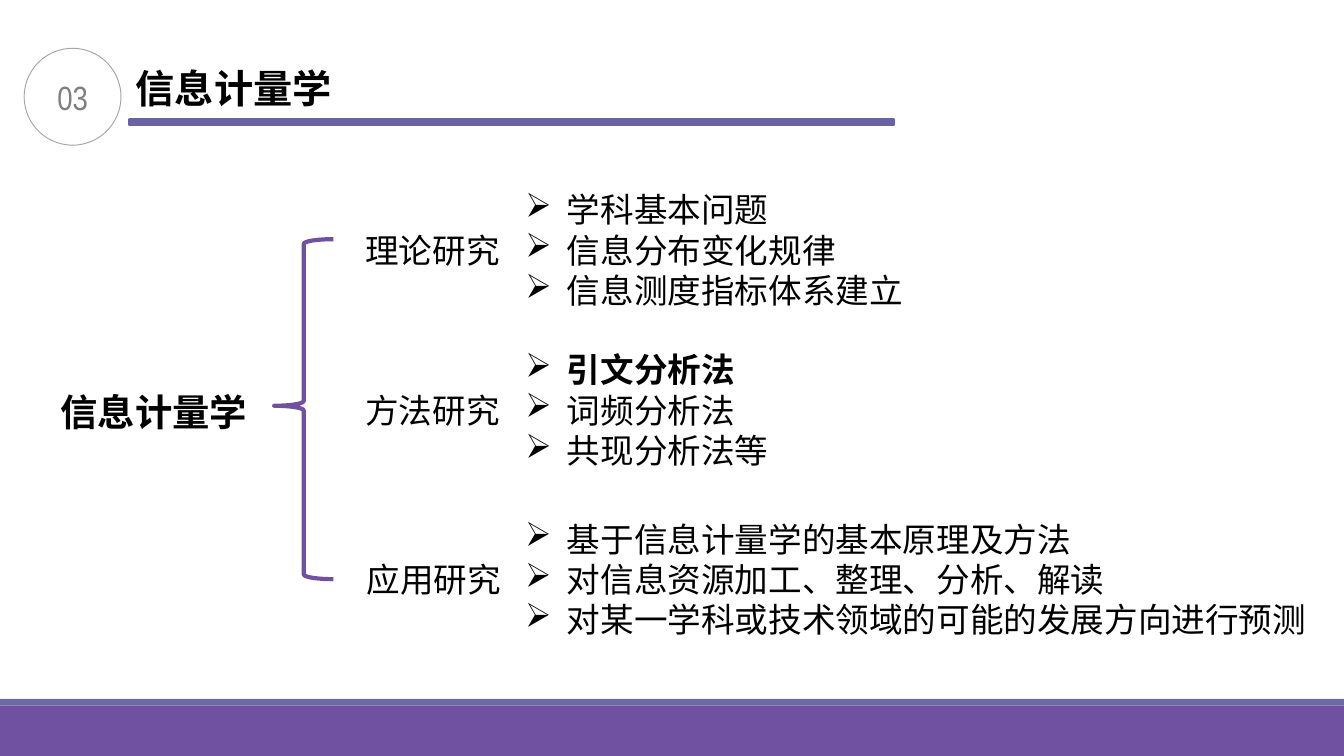
from lxml.etree import SubElement
from pptx import Presentation
from pptx.dml.color import RGBColor
from pptx.enum.shapes import MSO_SHAPE
from pptx.enum.text import MSO_ANCHOR, PP_ALIGN
from pptx.oxml.ns import qn
from pptx.util import Pt

PX = 9144  # 100 px to the inch
WIDE = 1000
PURPLE = RGBColor(0x70, 0x50, 0xA0)
STRIPE = RGBColor(0x6D, 0x69, 0xA3)
RULE = RGBColor(0x69, 0x64, 0xA0)
SILVER = RGBColor(0xA6, 0xA6, 0xA6)
GRAY = RGBColor(0x80, 0x80, 0x80)
BLACK = RGBColor(0, 0, 0)
SANS = "Noto Sans CJK SC"
NARROW = "Arial Narrow"
INDENT = 31
TIGHT = (7, 4, 7, 4)
LOOSE = (10, 5, 10, 5)

# Branch name, its left and top, width of its list, items, number of bold items
BRANCHES = [
    ("理论研究", 262, 166, 312,
     ["学科基本问题", "信息分布变化规律", "信息测度指标体系建立"], 0),
    ("方法研究", 262, 285, 312,
     ["引文分析法", "词频分析法", "共现分析法等"], 1),
    ("应用研究", 263, 411, 606,
     ["基于信息计量学的基本原理及方法", "对信息资源加工、整理、分析、解读",
      "对某一学科或技术领域的可能的发展方向进行预测"], 0),
]


class Deck:
    """Holds the style and the current slide."""

    def __init__(self):
        self.prs = Presentation()
        self.prs.slide_width = WIDE * PX
        self.prs.slide_height = WIDE * PX * 9 // 16
        self.slide = self.prs.slides.add_slide(self.prs.slide_layouts[6])

    def shape(self, kind, box, fill=None, line=None, weight=1):
        item = self.slide.shapes.add_shape(kind, *[n * PX for n in box])
        item.shadow.inherit = False
        if fill is None:
            item.fill.background()
        else:
            item.fill.solid()
            item.fill.fore_color.rgb = fill
        if line is None:
            item.line.fill.background()
        else:
            item.line.color.rgb = line
            item.line.width = Pt(weight)
        return item

    def inset(self, frame, pads, **style):
        sides = ("left", "top", "right", "bottom")
        style |= {f"margin_{side}": pad * PX for side, pad in zip(sides, pads)}
        for name, value in style.items():
            setattr(frame, name, value)

    def label(self, para, words, size=18, color=BLACK, face=SANS, bold=False):
        run = para.add_run()
        run.text = words
        style = {"size": Pt(size), "name": face, "bold": bold}
        for name, value in style.items():
            setattr(run.font, name, value)
        run.font.color.rgb = color
        SubElement(run.font._element, qn("a:ea"), typeface=face)

    def bullet(self, para):
        props = para._p.get_or_add_pPr()
        props.set("marL", str(INDENT * PX))
        props.set("indent", str(-INDENT * PX))
        SubElement(props, qn("a:buChar"), char="➢")

    def text(self, box, lines, pads=LOOSE, wrap=True, marks=False, strong=0, size=18):
        """Add one paragraph a line; the first `strong` lines are bold."""
        frame = self.slide.shapes.add_textbox(*[n * PX for n in box]).text_frame
        self.inset(frame, pads, word_wrap=wrap)
        for i, words in enumerate(lines):
            para = frame.add_paragraph() if i else frame.paragraphs[0]
            if marks:
                self.bullet(para)
            self.label(para, words, size, bold=i < strong)

    def badge(self, box, words):
        ring = self.shape(MSO_SHAPE.OVAL, box, line=SILVER, weight=0.5)
        frame = ring.text_frame
        self.inset(frame, TIGHT, vertical_anchor=MSO_ANCHOR.MIDDLE)
        para = frame.paragraphs[0]
        para.alignment = PP_ALIGN.CENTER
        self.label(para, words, color=GRAY, face=NARROW)

    def brace(self, box):
        item = self.shape(MSO_SHAPE.LEFT_BRACE, box, line=PURPLE, weight=2.25)
        item.adjustments[0] = 0.08
        item.adjustments[1] = 0.49

    def branch(self, name, left, top, width, items, strong):
        self.text((left, top, 131, 40), [name])
        self.text((381, top - 30, width, 101), items, marks=True, strong=strong)


def main():
    deck = Deck()
    deck.shape(MSO_SHAPE.RECTANGLE, (0, 525, WIDE, 38), PURPLE)
    deck.shape(MSO_SHAPE.RECTANGLE, (0, 520, WIDE, 5), STRIPE)
    deck.badge((18, 36, 72, 72), "03")
    topic = ["信息计量学"]
    deck.text((94, 44, 163, 43), topic, TIGHT, wrap=False, strong=1, size=21)
    deck.shape(MSO_SHAPE.RECTANGLE, (96, 89, 569, 4), RULE, RULE, 1.25)
    deck.text((35, 285, 175, 44), topic, strong=1, size=20)
    deck.brace((204, 178, 44, 253))
    for row in BRANCHES:
        deck.branch(*row)
    deck.prs.save("out.pptx")


if __name__ == "__main__":
    main()
